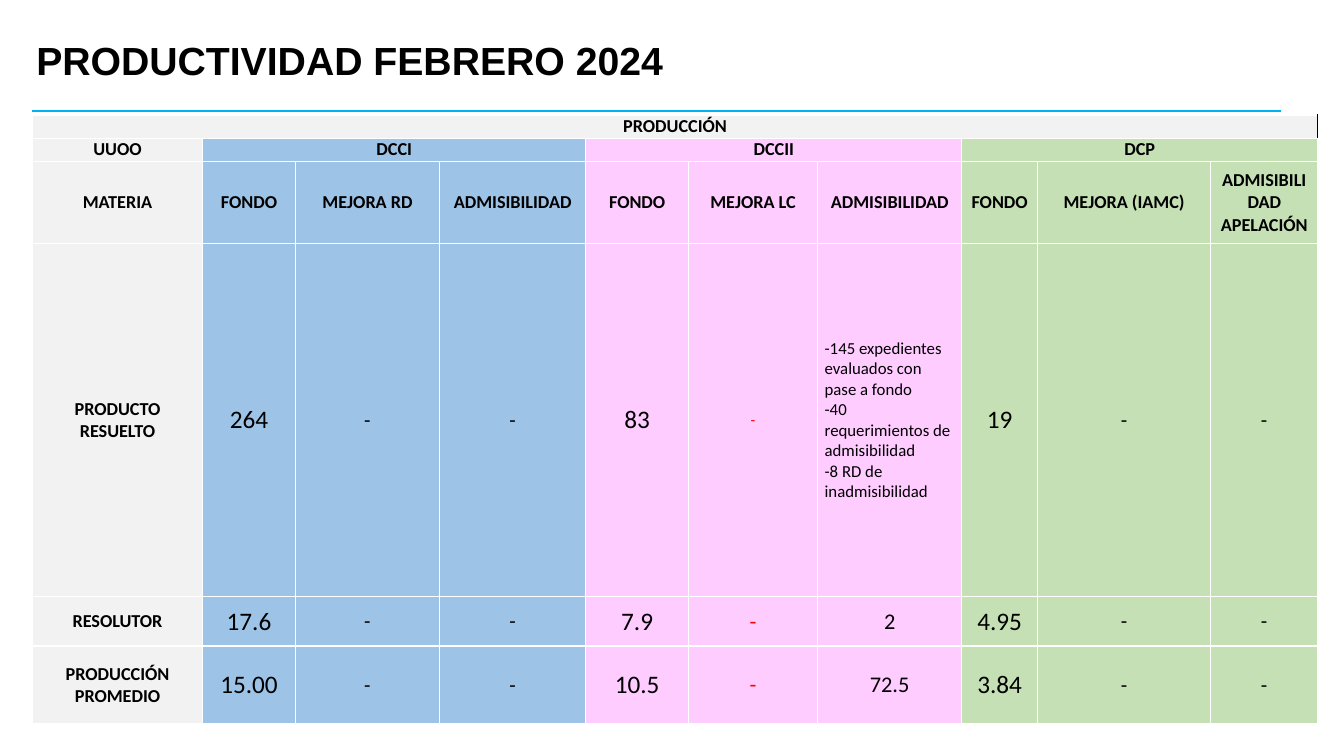
from lxml.etree import SubElement
from pptx import Presentation
from pptx.dml.color import RGBColor
from pptx.enum.shapes import MSO_CONNECTOR as Connector
from pptx.enum.text import MSO_ANCHOR as Anchor, PP_ALIGN as Align
from pptx.oxml.ns import qn
from pptx.util import Inches, Pt

SLIDE_WIDTH, SLIDE_HEIGHT = Inches(13.33), Inches(7.5)
BLACK, WHITE, RED = "000000", "FFFFFF", "FF0000"
GREY, BLUE, PINK, GREEN = "F2F2F2", "9DC3E6", "FFCCFF", "C5E0B4"

# Grid of the table, in inches
COLUMN_WIDTHS = [1.69, 0.92, 1.43, 1.45, 1.02, 1.28, 1.43, 0.75, 1.72, 1.06]
ROW_HEIGHTS = [0.23, 0.23, 0.82, 3.5, 0.49, 0.77]
COLUMN_FILLS = [GREY] + [BLUE] * 3 + [PINK] * 3 + [GREEN] * 3
FIRST_DATA_ROW = 3
FONDO_COLUMNS = (1, 4, 7)
MEJORA_LC, ADMISIBILIDAD_DCCII = 5, 6

EXPEDIENTES = "\n".join([
    "-145 expedientes evaluados con pase a fondo",
    "-40 requerimientos de admisibilidad",
    "-8 RD de inadmisibilidad",
])
PRODUCTION = [
    ["PRODUCCIÓN"] + [""] * 9,
    ["UUOO", "DCCI", "", "", "DCCII", "", "", "DCP", "", ""],
    ["MATERIA", "FONDO", "MEJORA RD", "ADMISIBILIDAD", "FONDO", "MEJORA LC",
     "ADMISIBILIDAD", "FONDO", "MEJORA (IAMC)", "ADMISIBILIDAD APELACIÓN"],
    ["PRODUCTO RESUELTO", "264", "-", "-", "83", "-", EXPEDIENTES, "19", "-", "-"],
    ["RESOLUTOR", "17.6", "-", "-", "7.9", "-", "2", "4.95", "-", "-"],
    ["PRODUCCIÓN PROMEDIO", "15.00", "-", "-", "10.5", "-", "72.5", "3.84", "-", "-"],
]


def across(percent):
    return int(SLIDE_WIDTH * percent / 100)


def down(percent):
    return int(SLIDE_HEIGHT * percent / 100)


def colour(hex_code):
    return RGBColor.from_string(hex_code)


def format_text(frame, font_name, size, bold, hex_code, align):
    for paragraph in frame.paragraphs:
        paragraph.alignment = align
        for run in paragraph.runs:
            run.font.name = font_name
            run.font.size = Pt(size)
            run.font.bold = bold
            run.font.color.rgb = colour(hex_code)


def add_title(slide, wording):
    title = slide.shapes.title
    title.left, title.top = across(1.95), down(3.6)
    title.width, title.height = across(86.27), down(9.33)
    title.text_frame.text = wording
    title.text_frame.vertical_anchor = Anchor.MIDDLE
    title.text_frame.paragraphs[0].line_spacing = 0.9
    format_text(title.text_frame, "Arial", 28, True, BLACK, Align.LEFT)


def add_rule(slide):
    rule = slide.shapes.add_connector(
        Connector.STRAIGHT, across(2.4), down(14.67), across(95.35), down(14.67))
    rule.line.color.rgb = colour("00B0F0")
    rule.line.width = Pt(1.5)
    SubElement(rule._element.spPr, qn("a:effectLst"))


def set_borders(cell, right):
    properties = cell._tc.get_or_add_tcPr()
    for side, hex_code in (("L", WHITE), ("R", right), ("T", WHITE), ("B", WHITE)):
        border = SubElement(properties, qn(f"a:ln{side}"), w=str(Pt(1)))
        fill = SubElement(border, qn("a:solidFill"))
        SubElement(fill, qn("a:srgbClr"), val=hex_code)


def cell_style(row, column):
    """Size, weight, colour and alignment of the text in one cell."""
    if row < FIRST_DATA_ROW or column == 0:
        return 13, True, BLACK, Align.CENTER
    if column in FONDO_COLUMNS:
        return 18, False, BLACK, Align.CENTER
    product_row = row == FIRST_DATA_ROW
    if column == MEJORA_LC:
        return 11 if product_row else 16, False, RED, Align.CENTER
    if column == ADMISIBILIDAD_DCCII:
        if product_row:
            return 12, False, BLACK, Align.LEFT
        return 16, False, BLACK, Align.CENTER
    return 15, False, BLACK, Align.CENTER


def fill_cell(cell, row, column):
    set_borders(cell, BLACK if row == 0 else WHITE)
    cell.fill.solid()
    cell.fill.fore_color.rgb = colour(GREY if row == 0 else COLUMN_FILLS[column])
    cell.margin_left = cell.margin_right = Inches(0.07)
    cell.margin_top = cell.margin_bottom = 0
    cell.vertical_anchor = Anchor.MIDDLE
    cell.text_frame.text = PRODUCTION[row][column]
    format_text(cell.text_frame, "Calibri", *cell_style(row, column))


def add_production_table(slide):
    table = slide.shapes.add_table(
        len(ROW_HEIGHTS), len(COLUMN_WIDTHS), across(2.4), down(15.2),
        Inches(sum(COLUMN_WIDTHS)), Inches(sum(ROW_HEIGHTS))).table
    for column, width in zip(table.columns, COLUMN_WIDTHS):
        column.width = Inches(width)
    for row, height in zip(table.rows, ROW_HEIGHTS):
        row.height = Inches(height)
    for row in range(len(ROW_HEIGHTS)):
        for column in range(len(COLUMN_WIDTHS)):
            fill_cell(table.cell(row, column), row, column)

    # Heading across the table, then one heading per unit
    table.cell(0, 0).merge(table.cell(0, len(COLUMN_WIDTHS) - 1))
    for first in FONDO_COLUMNS:
        table.cell(1, first).merge(table.cell(1, first + 2))


def main():
    deck = Presentation()
    deck.slide_width, deck.slide_height = SLIDE_WIDTH, SLIDE_HEIGHT
    slide = deck.slides.add_slide(deck.slide_layouts[5])
    add_rule(slide)
    add_title(slide, "PRODUCTIVIDAD FEBRERO 2024")
    add_production_table(slide)
    deck.save("out.pptx")


if __name__ == "__main__":
    main()
